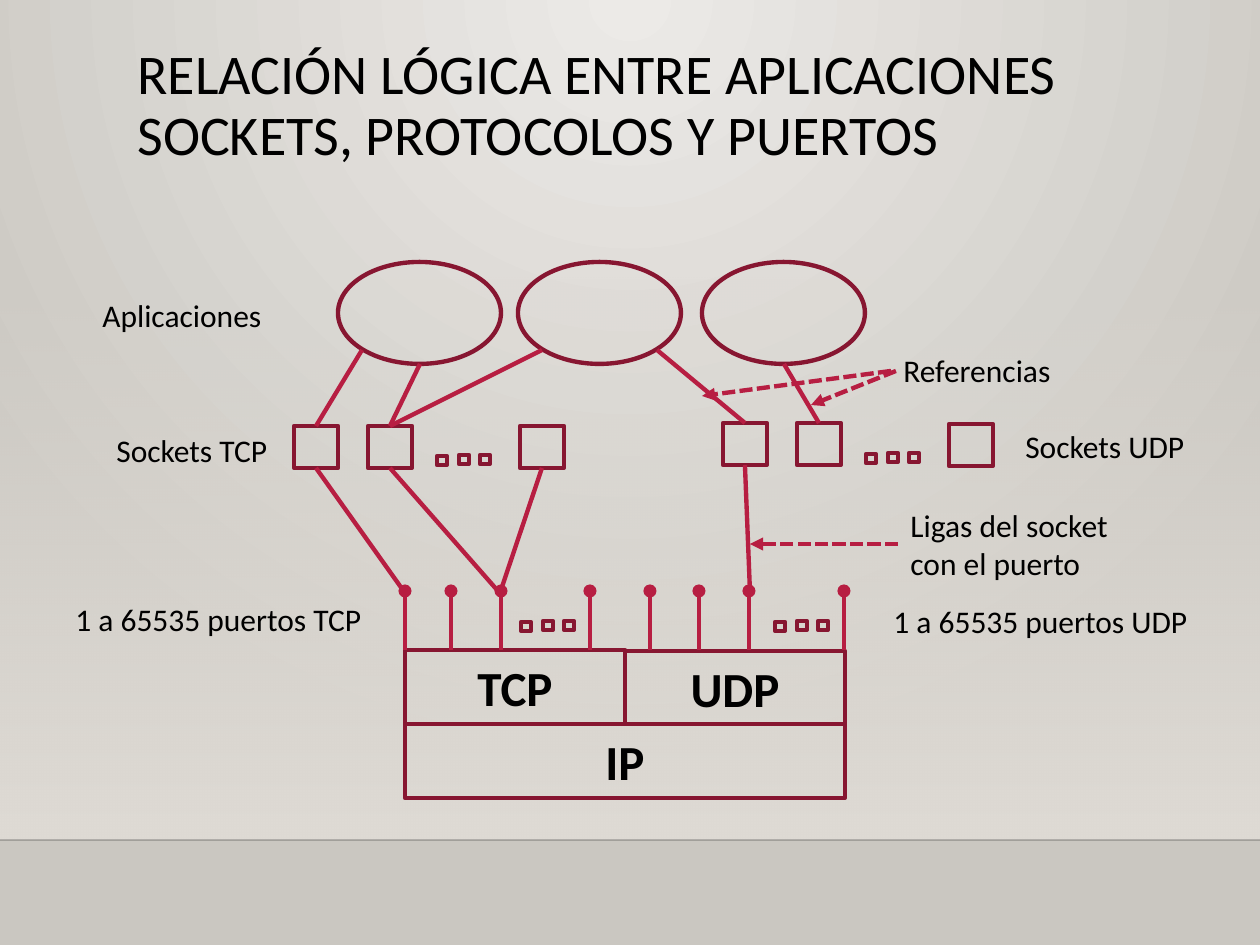
"""Build the slide relating applications, sockets, protocols and ports."""
from lxml import etree
from pptx import Presentation
from pptx.dml.color import RGBColor
from pptx.enum.dml import MSO_LINE
from pptx.enum.shapes import MSO_CONNECTOR, MSO_SHAPE
from pptx.enum.text import MSO_ANCHOR, PP_ALIGN
from pptx.oxml.ns import qn
from pptx.util import Pt

RECTANGLE, ELLIPSE = MSO_SHAPE.RECTANGLE, MSO_SHAPE.OVAL
STRAIGHT, DASHED = MSO_CONNECTOR.STRAIGHT, MSO_LINE.SQUARE_DOT
TOP, MIDDLE = MSO_ANCHOR.TOP, MSO_ANCHOR.MIDDLE
LEFT, CENTER = PP_ALIGN.LEFT, PP_ALIGN.CENTER

PIXEL = 914400 // 126
FONT = "Calibri"
LINE_WIDTH = 2.5
COLORS = {
    "glow": "ECEAE7", "edge": "CAC7C1", "floor": "DFDBD5", "horizon": "000001",
    "outline": "871631", "link": "B71E42", "text": "000000",
}

TITLE = ("RELACIÓN LÓGICA ENTRE APLICACIONES SOCKETS, PROTOCOLOS Y PUERTOS",
         (125, 40, 1135, 145))
LABELS = [
    ("1 a 65535 puertos UDP", (881, 596, 323, 51), False),
    ("1 a 65535 puertos TCP", (63, 594, 315, 51), False),
    ("Sockets TCP", (104, 425, 178, 51), False),
    ("Sockets UDP", (1013, 421, 187, 51), False),
    ("Aplicaciones", (90, 290, 187, 51), False),
    ("Referencias", (891, 345, 174, 51), False),
    ("Ligas del socket con el puerto", (898, 500, 232, 89), True),
]
PROTOCOLS = [
    ("IP", (405, 724, 440, 74)),
    ("TCP", (405, 650, 220, 74)),
    ("UDP", (625, 651, 220, 73)),
]
APPLICATIONS = {"size": (163, 102), "places": [(338, 262), (518, 262), (702, 262)]}
SOCKETS = {"size": (44, 42), "places": [(294, 426), (368, 426), (520, 426),
                                        (723, 423), (797, 423), (949, 424)]}
ELLIPSES = [(437, 456), (866, 454), (521, 622), (775, 622)]
DOT_OFFSETS = [(0, 0), (22, -1), (43, -1)]
DOT_SIZE = (10, 9)
PORTS = [405, 451, 501, 590, 650, 699, 749, 844]
PORT_BOTTOM, PORT_TOP = 650, 591
LINKS = [
    (784, 364, 819, 423), (657, 350, 745, 423), (745, 465, 750, 591),
    (542, 350, 390, 426), (420, 364, 390, 426), (362, 350, 316, 426),
    (542, 468, 500, 593), (390, 468, 498, 591), (316, 468, 405, 593),
]
POINTERS = [(898, 544, 750, 544), (891, 371, 702, 396), (896, 371, 811, 405)]


def scaled(lengths):
    return [length * PIXEL for length in lengths]


def color(name):
    return RGBColor.from_string(COLORS[name])


def set_alpha(parent, percent):
    for element in parent.iter(qn("a:srgbClr")):
        etree.SubElement(element, qn("a:alpha")).set("val", str(percent * 1000))


def set_gradient(fill, names):
    fill.gradient()
    for stop, name, position in zip(fill.gradient_stops, names, (0, 1)):
        stop.color.rgb = color(name)
        stop.position = position


def write(shape, text, size, bold=False, wrap=True, anchor=TOP, align=LEFT):
    frame = shape.text_frame
    frame.word_wrap = wrap
    frame.vertical_anchor = anchor
    paragraph = frame.paragraphs[0]
    paragraph.alignment = align
    run = paragraph.add_run()
    run.text = text
    run.font.name, run.font.size, run.font.bold = FONT, Pt(size), bold
    run.font.color.rgb = color("text")
    return paragraph


def add_outline(kind, box):
    shape = slide.shapes.add_shape(kind, *scaled(box))
    shape.shadow.inherit = False
    shape.fill.background()
    shape.line.color.rgb = color("outline")
    shape.line.width = Pt(LINE_WIDTH)
    return shape


def add_line(ends, name="link", width=LINE_WIDTH, tail=None, dashed=False):
    connector = slide.shapes.add_connector(STRAIGHT, *scaled(ends))
    connector.line.color.rgb = color(name)
    connector.line.width = Pt(width)
    if dashed:
        connector.line.dash_style = DASHED
    properties = connector.element.spPr
    if tail:
        outline = properties.find(qn("a:ln"))
        etree.SubElement(outline, qn("a:tailEnd")).set("type", tail)
    etree.SubElement(properties, qn("a:effectLst"))
    return connector


presentation = Presentation()
presentation.slide_width, presentation.slide_height = scaled((1260, 945))
slide = presentation.slides.add_slide(presentation.slide_layouts[6])

set_gradient(slide.background.fill, ("glow", "edge"))
gradient = slide.element.find(".//" + qn("a:gradFill"))
gradient.remove(gradient.find(qn("a:lin")))
circle = etree.SubElement(gradient, qn("a:path"))
circle.set("path", "circle")
focus = etree.SubElement(circle, qn("a:fillToRect"))
for side, percent in zip("ltrb", (43, 0, 43, 100)):
    focus.set(side, str(percent * 1000))

wall = slide.shapes.add_shape(RECTANGLE, *scaled((0, 277, 1260, 563)))
wall.shadow.inherit = False
wall.line.fill.background()
set_gradient(wall.fill, ("floor", "floor"))
wall.fill.gradient_angle = 270
set_alpha(wall.element.spPr.find(".//" + qn("a:gs")), 0)
horizon = add_line((0, 840, 1260, 840), "horizon", 1)
set_alpha(horizon.element.spPr, 20)

title_text, title_box = TITLE
title = slide.shapes.add_textbox(*scaled(title_box))
write(title, title_text, 32).line_spacing = 0.9

for kind, group in ((ELLIPSE, APPLICATIONS), (RECTANGLE, SOCKETS)):
    for place in group["places"]:
        add_outline(kind, place + group["size"])

for text, box in PROTOCOLS:
    write(add_outline(RECTANGLE, box), text, 28, bold=True, anchor=MIDDLE, align=CENTER)

for x in PORTS:
    add_line((x, PORT_BOTTOM, x, PORT_TOP), tail="oval")

for left, top in ELLIPSES:
    for across, down in DOT_OFFSETS:
        add_outline(RECTANGLE, (left + across, top + down) + DOT_SIZE)

for text, box, wrap in LABELS:
    write(slide.shapes.add_textbox(*scaled(box)), text, 18, wrap=wrap)

for ends in LINKS:
    add_line(ends)
for ends in POINTERS:
    add_line(ends, tail="triangle", dashed=True)

presentation.save("out.pptx")
